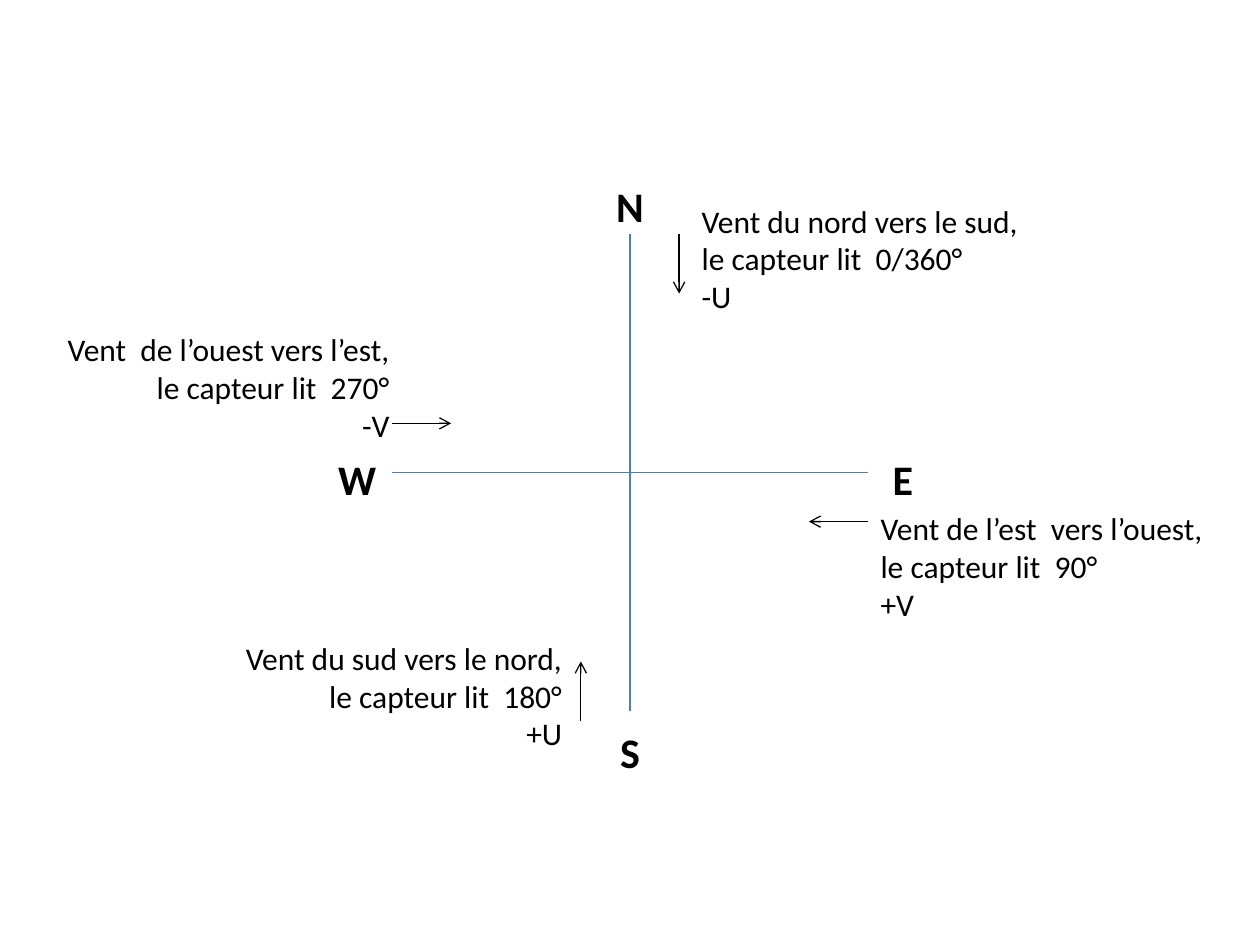
"""Build a wind rose slide showing how the sensor reads each wind direction."""
from lxml import etree
from pptx import Presentation
from pptx.dml.color import RGBColor
from pptx.enum import shapes, text
from pptx.oxml.ns import qn
from pptx.util import Inches, Pt

WIDTH, HEIGHT = 10, 7.5
CX, CY = WIDTH / 2, HEIGHT / 2
ARM, ARROW = 1.89, 0.47
LABEL_W, LABEL_H, NOTE_H = 0.55, 0.5, 1.01
BLUE, BLACK = "4B7EBC", "000000"
LEFT, CENTER, RIGHT = text.PP_ALIGN.LEFT, text.PP_ALIGN.CENTER, text.PP_ALIGN.RIGHT

AXES = [((CX, CY - ARM), (CX, CY + ARM)), ((CX + ARM, CY), (CX - ARM, CY))]
LABELS = [
    ("N", CX - LABEL_W / 2, 1.38),
    ("S", CX - LABEL_W / 2, 5.72),
    ("W", CX - ARM - LABEL_W, 3.55),
    ("E", CX + ARM, 3.55),
]
# Each wind: lines of text, left, top, width, alignment, arrow start, arrow direction
WINDS = [
    (["Vent du nord vers le sud, le capteur lit  0/360°", "-U"],
     5.47, 1.55, 2.76, LEFT, (5.39, CY - ARM), (0, 1)),
    (["Vent de l’est  vers l’ouest, le capteur lit  90°", "+V"],
     6.89, 3.99, 2.91, LEFT, (CX + ARM, 4.14), (-1, 0)),
    (["Vent du sud vers le nord, le capteur lit  180°", "+U"],
     1.65, 5.02, 2.91, RIGHT, (4.61, 5.72), (0, -1)),
    (["Vent  de l’ouest vers l’est, le capteur lit  270°", "-V"],
     0.28, 2.57, 2.91, RIGHT, (CX - ARM, 3.36), (1, 0)),
]


def color(value):
    return RGBColor.from_string(value)


def add_text(slide, lines, x, y, w, h, size=18, bold=False, align=LEFT):
    sp = slide.shapes.add_textbox(*map(Inches, (x, y, w, h)))
    tf = sp.text_frame
    tf.word_wrap = True
    tf.auto_size = text.MSO_AUTO_SIZE.SHAPE_TO_FIT_TEXT
    for i, line in enumerate(lines):
        p = tf.add_paragraph() if i else tf.paragraphs[0]
        p.alignment = align
        r = p.add_run()
        r.text = line
        r.font.name, r.font.size, r.font.bold = "Calibri", Pt(size), bold
        r.font.color.rgb = color(BLACK)


def add_line(slide, start, end, stroke, arrow=False):
    line = slide.shapes.add_connector(
        shapes.MSO_CONNECTOR.STRAIGHT, *map(Inches, (*start, *end)))
    line.line.color.rgb = color(stroke)
    line.line.width = Pt(0.75)
    if arrow:
        etree.SubElement(line.line._get_or_add_ln(), qn("a:tailEnd"), type="arrow")
    etree.SubElement(line._element.spPr, qn("a:effectLst"))


def main():
    prs = Presentation()
    prs.slide_width, prs.slide_height = Inches(WIDTH), Inches(HEIGHT)
    slide = prs.slides.add_slide(prs.slide_layouts[6])
    for start, end in AXES:
        add_line(slide, start, end, BLUE)
    for name, x, y in LABELS:
        add_text(slide, [name], x, y, LABEL_W, LABEL_H, size=24, bold=True, align=CENTER)
    for lines, x, y, w, align, start, (dx, dy) in WINDS:
        end = (start[0] + dx * ARROW, start[1] + dy * ARROW)
        add_line(slide, start, end, BLACK, arrow=True)
        add_text(slide, lines, x, y, w, NOTE_H, align=align)
    prs.save("out.pptx")


if __name__ == "__main__":
    main()
